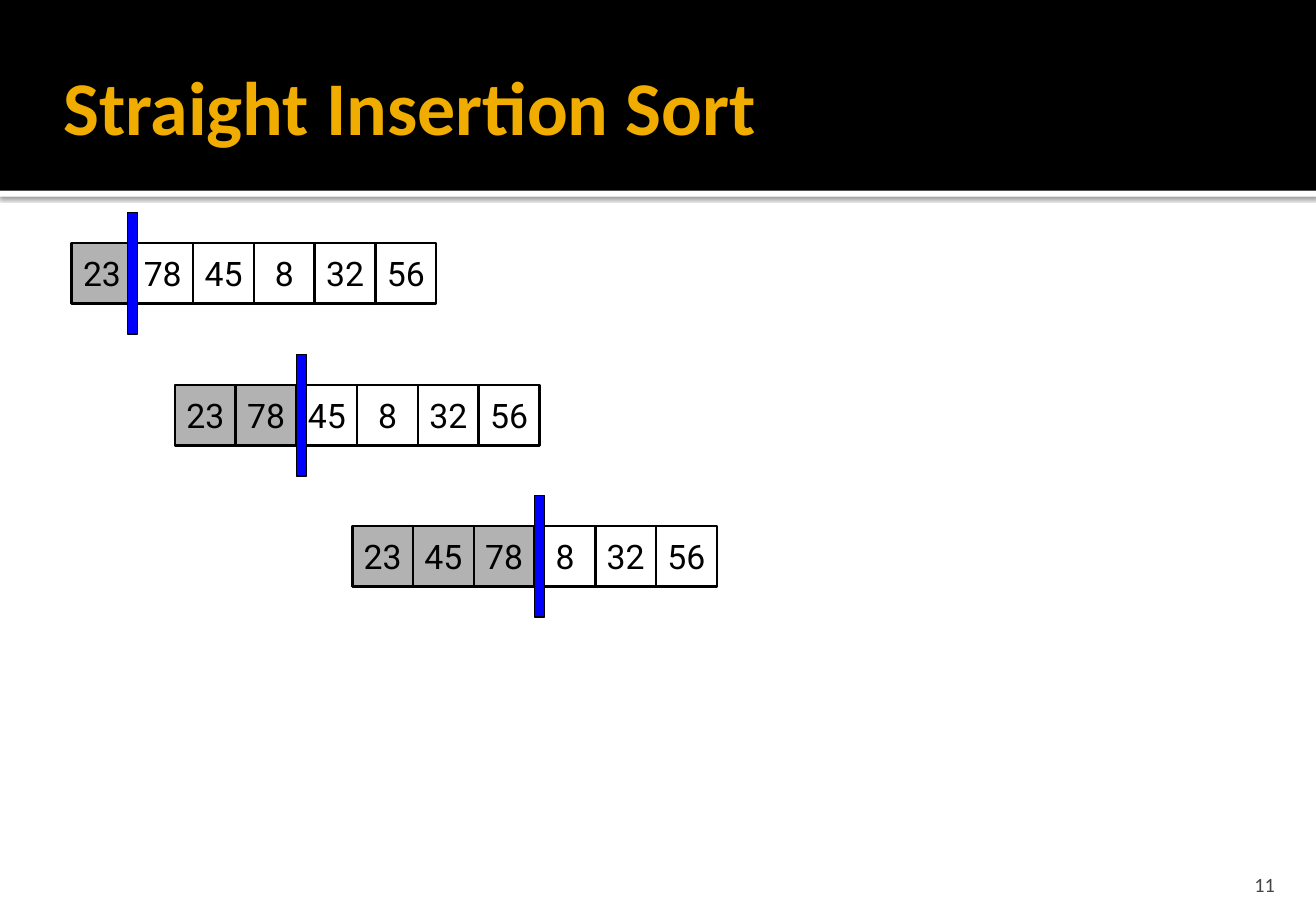
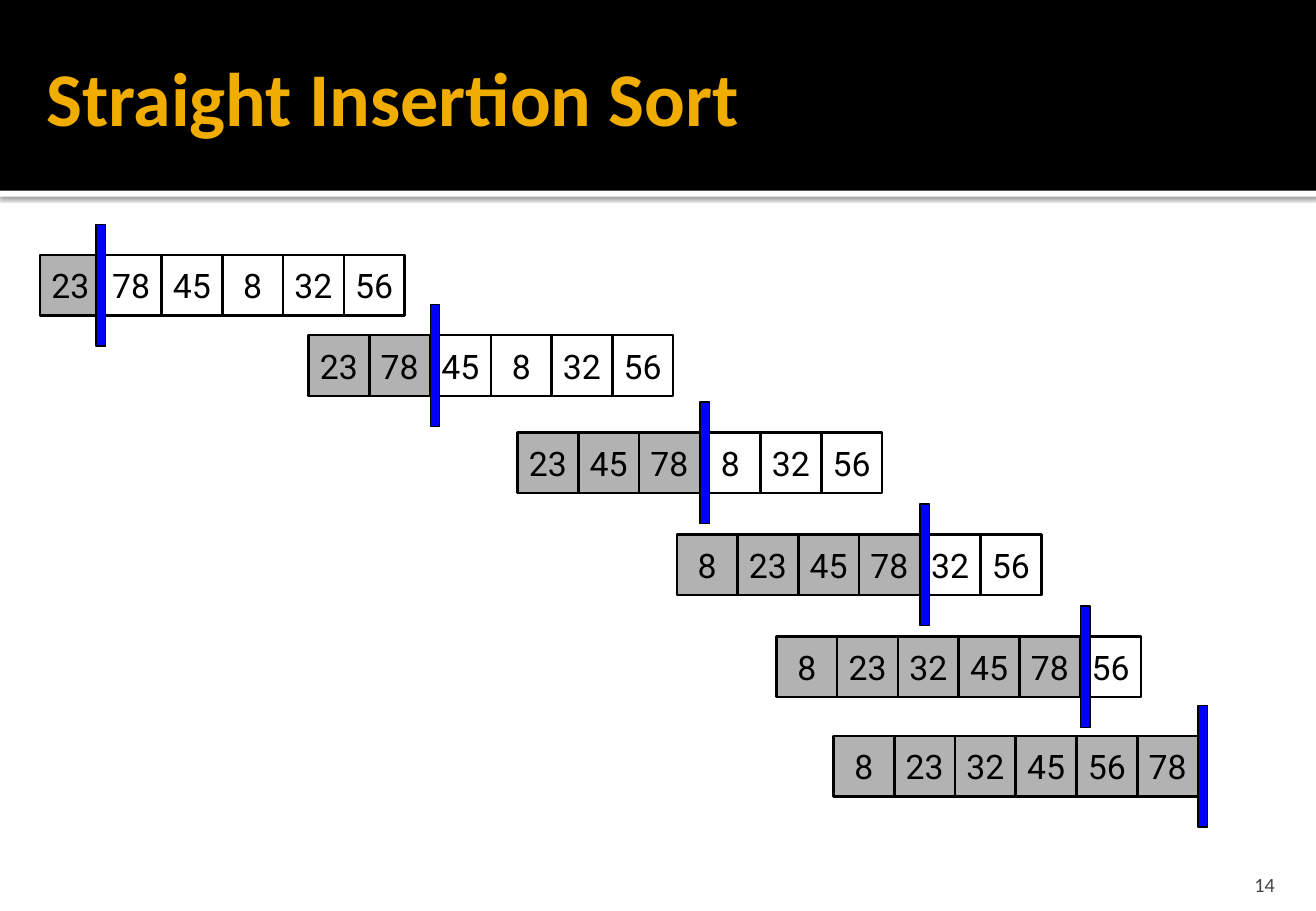
"""Build two slides that trace a straight insertion sort."""
from lxml.etree import SubElement
from pptx import Presentation
from pptx.dml.color import RGBColor
from pptx.enum.shapes import MSO_SHAPE
from pptx.enum.text import MSO_ANCHOR, MSO_AUTO_SIZE, PP_ALIGN
from pptx.oxml.ns import qn
from pptx.util import Inches, Pt

HUES = {"black": "000000", "white": "FFFFFF", "gold": "F0AD00",
        "grey": "B2B2B2", "blue": "0000FF", "slate": "454545"}
WIDTH, SIDE = 10.83, 0.5
START = [23, 78, 45, 8, 32, 56]
PAGES = [
    (11, (0.42, 0.24), [(0.59, 2), (1.44, 3.17), (2.9, 4.33)]),
    (14, (0.28, 0.17), [(0.33, 2.1), (2.54, 2.76), (4.26, 3.56),
                        (5.57, 4.4), (6.39, 5.24), (6.86, 6.06)]),
]


def hue(name):
    return RGBColor.from_string(HUES[name])


def put(thing, **vals):
    for key, val in vals.items():
        setattr(thing, key, val)


class Deck:
    def __init__(self):
        self.prs = Presentation()
        put(self.prs, slide_width=Inches(WIDTH), slide_height=Inches(7.5))
        self.plan = self.prs.slide_layouts[5]
        self.slide = None

    def page(self, num, spot):
        first = self.slide is None
        self.slide = self.prs.slides.add_slide(self.plan)
        if first:
            self.bands()
        self.title("Straight Insertion Sort", spot)
        self.foot(num)

    def bands(self):
        rule = self.box(0, 1.57, WIDTH, 0.05, "white")
        glow = rule.element.spPr.find(qn("a:effectLst"))
        cast = SubElement(glow, qn("a:outerShdw"), blurRad=str(Pt(2.5)),
                          dist=str(Pt(0.8)), dir="5400000", rotWithShape="0")
        tint = SubElement(cast, qn("a:srgbClr"), val=HUES["black"])
        SubElement(tint, qn("a:alpha"), val="60000")
        head = self.box(0, 0, WIDTH, 1.57, "black")
        tree = self.plan.shapes.element
        for step, band in enumerate((rule, head)):
            band.element.nvSpPr.cNvPr.id = 90 + step
            tree.insert(2 + step, band.element)

    def box(self, x, y, w, h, fill=None, line=0):
        shape = self.slide.shapes.add_shape(
            MSO_SHAPE.RECTANGLE, Inches(x), Inches(y), Inches(w), Inches(h))
        shape.shadow.inherit = False
        if fill:
            shape.fill.solid()
            shape.fill.fore_color.rgb = hue(fill)
        else:
            shape.fill.background()
        if line:
            shape.line.color.rgb = hue("black")
            shape.line.width = Pt(line)
        else:
            shape.line.fill.background()
        return shape

    def label(self, shape, text, face, size, tone, side, bold=False, **frame):
        put(shape.text_frame, **frame)
        para = shape.text_frame.paragraphs[0]
        para.alignment = side
        run = para.add_run()
        run.text = str(text)
        put(run.font, name=face, size=Pt(size), bold=bold)
        run.font.color.rgb = hue(tone)

    def title(self, text, spot):
        head = self.slide.shapes.title
        put(head, left=Inches(spot[0]), top=Inches(spot[1]),
            width=Inches(9.2), height=Inches(1.25))
        self.label(head, text, "Calibri", 45, "gold", PP_ALIGN.LEFT, True,
                   auto_size=MSO_AUTO_SIZE.NONE, word_wrap=True,
                   vertical_anchor=MSO_ANCHOR.MIDDLE,
                   margin_left=Inches(0.1), margin_right=Inches(0.05))

    def foot(self, num):
        note = self.slide.shapes.add_textbox(
            Inches(9.72), Inches(7.08), Inches(0.87), Inches(0.3))
        self.label(note, num, "Calibri", 12, "slate", PP_ALIGN.RIGHT,
                   word_wrap=True, vertical_anchor=MSO_ANCHOR.BOTTOM,
                   margin_bottom=0)

    def row(self, x, y, done):
        nums = sorted(START[:done]) + START[done:]
        for spot, num in enumerate(nums):
            fill = "grey" if spot < done else None
            cell = self.box(x + spot * SIDE, y, SIDE, SIDE, fill, 1.5)
            self.label(cell, num, "Roboto", 20, "black", PP_ALIGN.CENTER,
                       word_wrap=False, vertical_anchor=MSO_ANCHOR.MIDDLE)
        shift = 0.04 if done == 1 else 0
        self.box(x + done * SIDE - shift, y - 0.25, 0.08, 1, "blue", 0.75)


def main():
    deck = Deck()
    for num, spot, rows in PAGES:
        deck.page(num, spot)
        for done, (x, y) in enumerate(rows, 1):
            deck.row(x, y, done)
    deck.prs.save("out.pptx")


if __name__ == "__main__":
    main()
